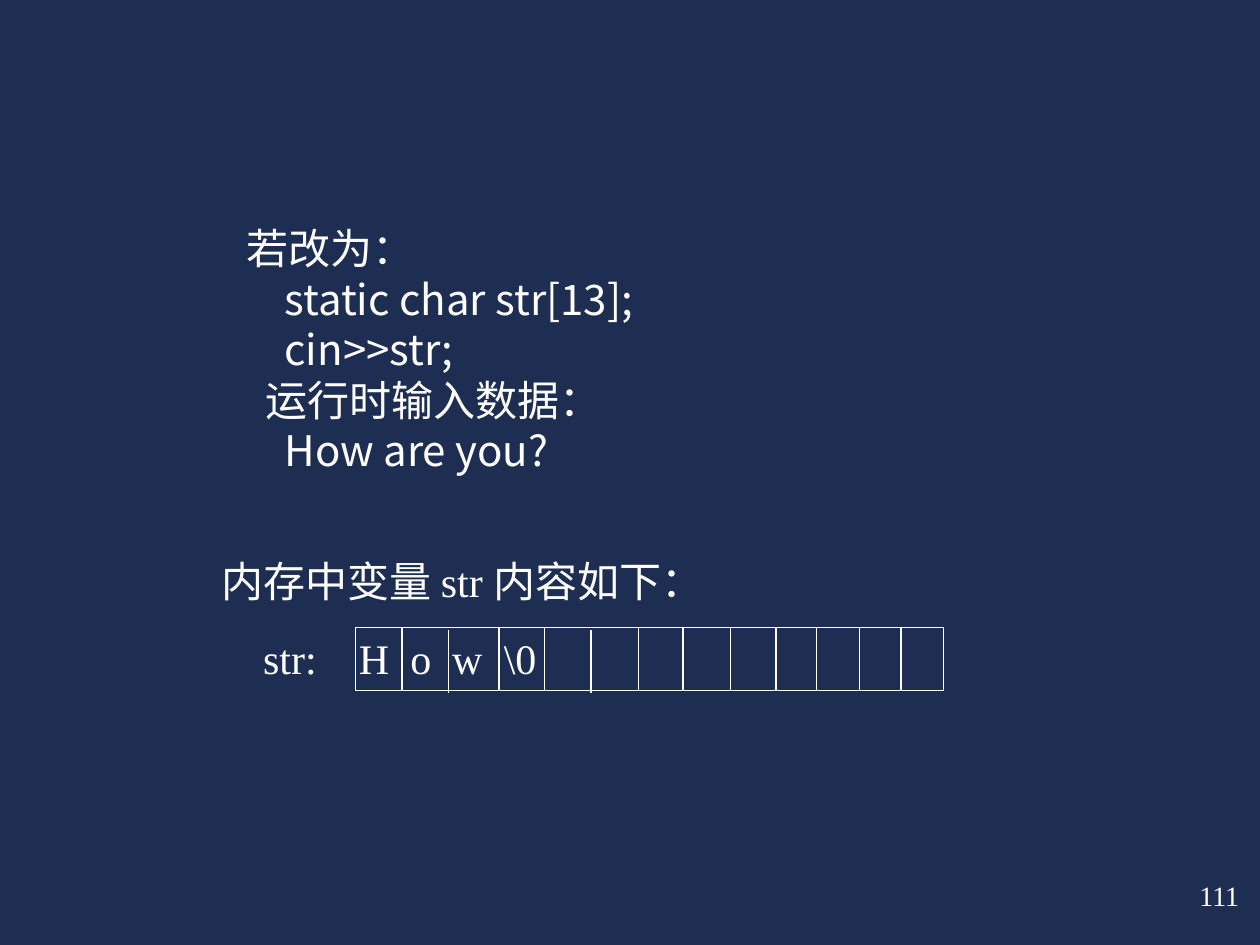
from lxml import etree
from pptx import Presentation
from pptx import util as u
from pptx.dml.color import RGBColor
from pptx.enum import shapes, text
from pptx.oxml import ns

deck = Presentation()
deck.slide_width, deck.slide_height = u.Inches(10), u.Inches(7.5)
column, row = deck.slide_width / 100, deck.slide_height / 75
page = deck.slides.add_slide(deck.slide_layouts[6])

SANS, SERIF = "Noto Sans CJK SC", "Times New Roman"
WHITE, NAVY = "FFFFFF", "1E2E53"


def paint(color_format, value):
    color_format.rgb = RGBColor.from_string(value)


def add_text(left, top, width, height, lines, font_name, size, anchor, gap=0):
    box = page.shapes.add_textbox(
        int(left * column), int(top * row), int(width * column), int(height * row))
    frame = box.text_frame
    for name, value in {"word_wrap": True, "vertical_anchor": anchor}.items():
        setattr(frame, name, value)
    for index, (wording, indent, stops) in enumerate(lines):
        para = frame.paragraphs[0] if index == 0 else frame.add_paragraph()
        properties = para._p.get_or_add_pPr()
        properties.set("marL", str(int(indent * column)))
        if index and gap:
            para.space_before = u.Pt(gap)
        if stops:
            tab_list = etree.SubElement(properties, ns.qn("a:tabLst"))
            for stop in stops:
                etree.SubElement(tab_list, ns.qn("a:tab"),
                                 pos=str(int(stop * column)), algn="l")
        span = para.add_run()
        span.text = wording
        for name, value in {"name": font_name, "size": u.Pt(size)}.items():
            setattr(span.font, name, value)
        paint(span.font.color, WHITE)
        etree.SubElement(span._r.get_or_add_rPr(), ns.qn("a:ea"), typeface=SANS)


page.background.fill.solid()
paint(page.background.fill.fore_color, NAVY)

code_lines = [
    ("若改为：", 0, ()),
    ("static char str[13];", 3, ()),
    ("cin>>str;", 3, ()),
    ("运行时输入数据：", 1.5, ()),
    ("How are you?", 3, ()),
]
add_text(18.6, 17.2, 33.1, 21, code_lines, SANS, 24, text.MSO_ANCHOR.MIDDLE)

memory_lines = [
    ("内存中变量 str 内容如下：", 0, ()),
    ("\tstr:\tH\to\tw\t\\0", 0, (3.3, 10.9, 15, 18.3, 22.4)),
]
add_text(16.6, 43.6, 42.6, 11.1, memory_lines, SERIF, 24, text.MSO_ANCHOR.MIDDLE, gap=15)

array_left, array_top, array_width, array_height = 28.2, 49.8, 46.7, 5
array = page.shapes.add_shape(
    shapes.MSO_SHAPE.RECTANGLE, int(array_left * column), int(array_top * row),
    int(array_width * column), int(array_height * row))
array.shadow.inherit = False
array.fill.background()
paint(array.line.color, WHITE)
array.line.width = u.Pt(0.75)

dividers = [31.9, 35.6, 39.6, 43.2, 46.9, 50.7, 54.2, 58, 61.6, 64.8, 68.2, 71.5]
lowered = {35.6, 46.9}
for x in dividers:
    top = array_top + (0.2 if x in lowered else 0)
    divider = page.shapes.add_connector(
        shapes.MSO_CONNECTOR.STRAIGHT, int(x * column), int(top * row),
        int(x * column), int((top + array_height) * row))
    paint(divider.line.color, WHITE)
    divider.line.width = u.Pt(0.75)
    etree.SubElement(divider._element.spPr, ns.qn("a:effectLst"))

add_text(94.2, 69.2, 5.8, 3.7, [("111", 0, ())], SERIF, 16, text.MSO_ANCHOR.TOP)

deck.save("out.pptx")
